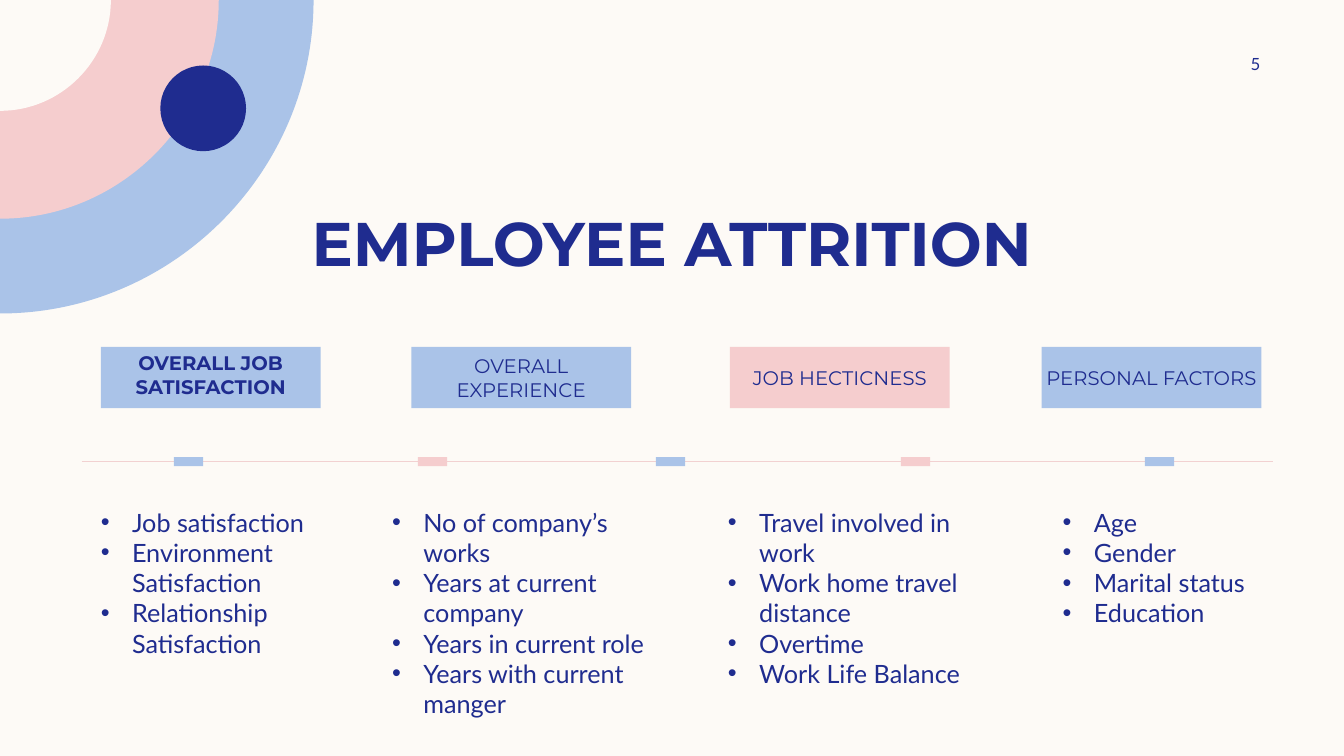
from lxml import etree
from pptx import Presentation
from pptx.dml.color import RGBColor
from pptx.enum.shapes import MSO_CONNECTOR, MSO_SHAPE
from pptx.enum.text import MSO_ANCHOR, PP_ALIGN
from pptx.oxml.ns import qn
from pptx.util import Inches, Pt

RECTANGLE, OVAL = MSO_SHAPE.RECTANGLE, MSO_SHAPE.OVAL
STRAIGHT = MSO_CONNECTOR.STRAIGHT
TOP, MIDDLE, BOTTOM = MSO_ANCHOR.TOP, MSO_ANCHOR.MIDDLE, MSO_ANCHOR.BOTTOM
LEFT, CENTER, RIGHT = PP_ALIGN.LEFT, PP_ALIGN.CENTER, PP_ALIGN.RIGHT

COLORS = {"cream": "FDFAF6", "blue": "AAC3E8", "pink": "F5CDCE",
          "navy": "1F2C8F", "rule": "F2D1D1"}
HEADING_FONT, BODY_FONT = "Montserrat", "Lato"
TITLE = "EMPLOYEE ATTRITION"
PAGE_NUMBER = "5"
FACTORS = [
    {"heading": "OVERALL JOB SATISFACTION", "color": "blue", "bold": True,
     "left": 1, "list_left": 1, "list_width": 2.18, "lift": 0.06,
     "items": ["Job satisfaction", "Environment Satisfaction",
               "Relationship Satisfaction"]},
    {"heading": "OVERALL EXPERIENCE", "color": "blue", "bold": False,
     "left": 4.08, "list_left": 3.89, "list_width": 2.77, "lift": 0,
     "items": ["No of company’s works", "Years at current company",
               "Years in current role", "Years with current manger"]},
    {"heading": "JOB HECTICNESS", "color": "pink", "bold": False,
     "left": 7.24, "list_left": 7.22, "list_width": 2.46, "lift": 0,
     "items": ["Travel involved in work", "Work home travel distance",
               "Overtime", "Work Life Balance"]},
    {"heading": "PERSONAL FACTORS", "color": "blue", "bold": False,
     "left": 10.33, "list_left": 10.54, "list_width": 2.18, "lift": 0,
     "items": ["Age", "Gender", "Marital status", "Education"]},
]
RINGS = [(3.11, "blue"), (2.17, "pink"), (1.1, "cream")]
ARC_HANDLE = 0.55
MARKER_CENTERS = [1.87, 4.29, 6.65, 9.08, 11.5]
MARKER_WIDTH, MARKER_HEIGHT = 0.29, 0.09
TIMELINE_LEFT, TIMELINE_RIGHT, TIMELINE_TOP = 0.81, 12.63, 4.58
HEADING_TOP, HEADING_WIDTH, HEADING_HEIGHT = 3.44, 2.18, 0.61
LIST_TOP, LIST_HEIGHT, INDENT = 4.98, 2.06, 0.31

deck = Presentation()
deck.slide_width, deck.slide_height = Inches(13.33), Inches(7.5)
page = deck.slides.add_slide(deck.slide_layouts[6])


def rgb(name):
    return RGBColor.from_string(COLORS[name])


def paint(shape, color):
    shape.shadow.inherit = False
    shape.fill.solid()
    shape.fill.fore_color.rgb = rgb(color)
    shape.line.fill.background()


def add_block(kind, left, top, width, height, color):
    block = page.shapes.add_shape(kind, *map(Inches, (left, top, width, height)))
    paint(block, color)
    return block


def add_quarter_disc(radius, color):
    edge, handle = Inches(radius), Inches(radius * ARC_HANDLE)
    builder = page.shapes.build_freeform(0, 0)
    builder.add_line_segments([(edge, 0), (0, edge)])
    disc = builder.convert_to_shape()
    chord = list(disc._element.iter(qn("a:lnTo")))[1]
    chord.tag = qn("a:cubicBezTo")
    for index, (x, y) in enumerate([(edge, handle), (handle, edge)]):
        point = etree.Element(qn("a:pt"), x=str(x), y=str(y))
        chord.insert(index, point)
    paint(disc, color)


def add_textbox(left, top, width, height):
    return page.shapes.add_textbox(*map(Inches, (left, top, width, height)))


def write(shape, lines, font, size, bold=False, align=LEFT, anchor=TOP,
          insets=(0, 0, 0, 0), bulleted=False):
    frame = shape.text_frame
    frame.word_wrap = True
    frame.vertical_anchor = anchor
    (frame.margin_left, frame.margin_top,
     frame.margin_right, frame.margin_bottom) = map(Inches, insets)
    for index, line in enumerate(lines):
        para = frame.add_paragraph() if index else frame.paragraphs[0]
        para.alignment = align
        if bulleted:
            add_bullet(para)
        span = para.add_run()
        span.text = line
        span.font.name, span.font.size, span.font.bold = font, Pt(size), bold
        span.font.color.rgb = rgb("navy")


def add_bullet(para):
    properties = para._p.get_or_add_pPr()
    properties.set("marL", str(Inches(INDENT)))
    properties.set("indent", str(-Inches(INDENT)))
    etree.SubElement(properties, qn("a:buFont")).set("typeface", "Arial")
    etree.SubElement(properties, qn("a:buChar")).set("char", "•")


page.background.fill.solid()
page.background.fill.fore_color.rgb = rgb("cream")

for radius, color in RINGS:
    add_quarter_disc(radius, color)
add_block(OVAL, 1.59, 0.65, 0.85, 0.85, "navy")

timeline = page.shapes.add_connector(STRAIGHT, *map(Inches, (
    TIMELINE_LEFT, TIMELINE_TOP, TIMELINE_RIGHT, TIMELINE_TOP)))
timeline.line.color.rgb = rgb("rule")
timeline.line.width = Pt(1)
etree.SubElement(timeline._element.spPr, qn("a:effectLst"))

for index, center in enumerate(MARKER_CENTERS):
    add_block(RECTANGLE, center - MARKER_WIDTH / 2, TIMELINE_TOP - MARKER_HEIGHT / 2,
              MARKER_WIDTH, MARKER_HEIGHT, "pink" if index % 2 else "blue")

write(add_textbox(0.83, 1.68, 11.67, 1.14), [TITLE], HEADING_FONT, 44, bold=True,
      align=CENTER, anchor=BOTTOM, insets=(0.1, 0.05, 0.1, 0.05))
write(add_textbox(11.42, 0.5, 1.08, 0.27), [PAGE_NUMBER], BODY_FONT, 12,
      align=RIGHT, anchor=MIDDLE, insets=(0.1, 0.05, 0, 0.05))

for factor in FACTORS:
    heading = add_block(RECTANGLE, factor["left"], HEADING_TOP, HEADING_WIDTH,
                        HEADING_HEIGHT, factor["color"])
    write(heading, [factor["heading"]], HEADING_FONT, 14, bold=factor["bold"],
          align=CENTER, anchor=MIDDLE, insets=(0, 0, 0, factor["lift"]))
    box = add_textbox(factor["list_left"], LIST_TOP, factor["list_width"], LIST_HEIGHT)
    write(box, factor["items"], BODY_FONT, 18, insets=(0, 0.05, 0, 0.05), bulleted=True)

deck.save("out.pptx")
